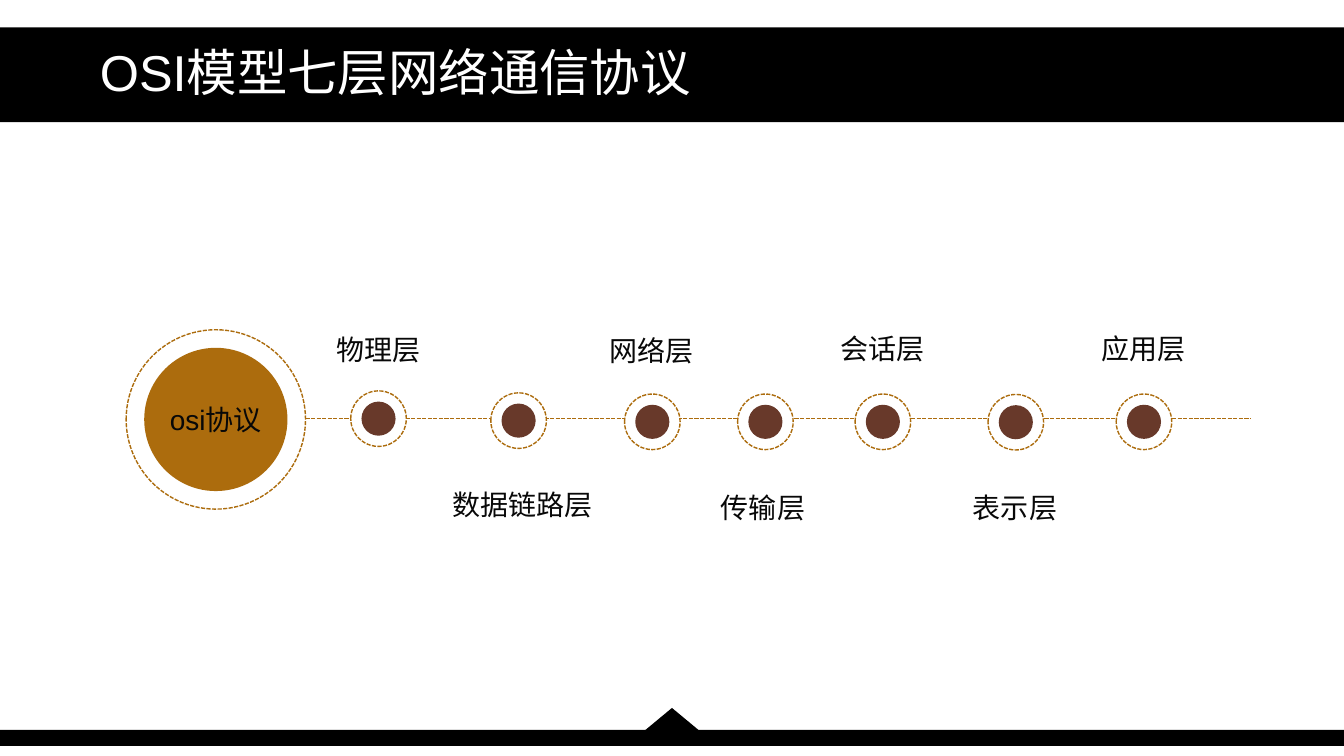
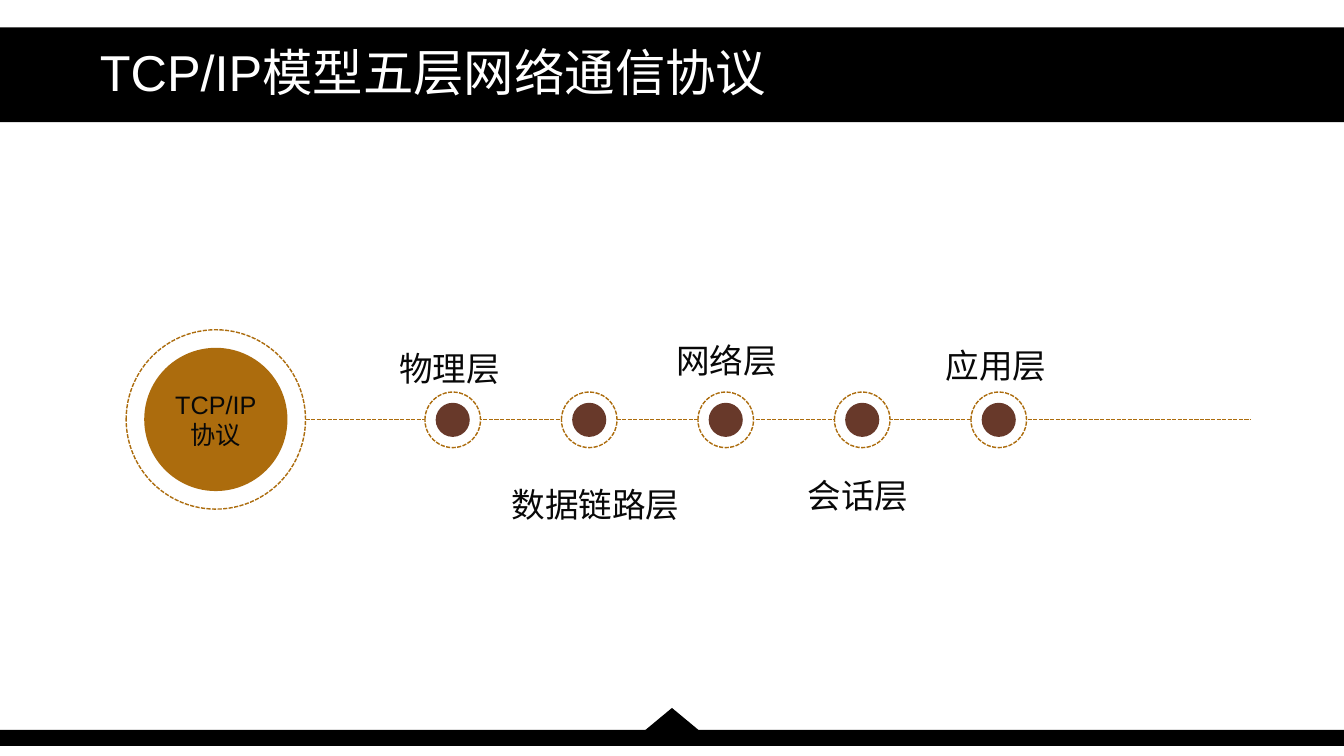
from dataclasses import dataclass
from typing import Optional

from lxml.etree import SubElement
from pptx import Presentation
from pptx.dml.color import RGBColor
from pptx.enum.dml import MSO_LINE
from pptx.enum.shapes import MSO_CONNECTOR, MSO_SHAPE
from pptx.enum.text import MSO_ANCHOR, PP_ALIGN
from pptx.oxml.ns import qn
from pptx.util import Cm, Pt

COLORS = {
    "band": "000000",
    "paper": "FFFFFF",
    "ochre": "AC6C0D",
    "brown": "68392A",
    "text": "080808",
}
LATIN_FONT = "Arial"
CHINESE_FONT = "Noto Sans CJK SC"
SLIDE_WIDTH, SLIDE_HEIGHT = 33.87, 19.05
HUB_X, HUB_Y = 5.44, 10.57
HUB_RING, HUB_CORE = 4.52, 3.61
DOT_RING, DOT_CORE = 1.4, 0.86
LABEL_WIDTH, LABEL_HEIGHT = 5.13, 3.05
AXIS_LEFT, AXIS_RIGHT = 7.7, 31.53


@dataclass(frozen=True)
class Layer:
    name: str
    dot_x: float
    dot_y: float
    label_x: float
    label_y: float


@dataclass(frozen=True)
class Model:
    title: str
    hub_text: str
    hub_size: int
    label_size: int
    axis_y: float
    layers: tuple[Layer, ...]


OSI = Model(
    "OSI模型七层网络通信协议", "osi协议", 20, 20, 10.54,
    (
        Layer("物理层", 9.54, 10.55, 9.53, 8.72),
        Layer("数据链路层", 13.07, 10.6, 13.18, 12.62),
        Layer("网络层", 16.44, 10.63, 16.41, 8.75),
        Layer("传输层", 19.29, 10.63, 19.23, 12.7),
        Layer("会话层", 22.25, 10.63, 22.23, 8.69),
        Layer("表示层", 25.6, 10.64, 25.58, 12.7),
        Layer("应用层", 28.83, 10.63, 28.83, 8.69),
    ),
)

TCP_LABELS = (
    ("物理层", 11.33, 9.17),
    ("数据链路层", 15.01, 12.6),
    ("网络层", 18.31, 8.97),
    ("会话层", 21.62, 12.37),
    ("应用层", 25.1, 9.09),
)
TCP_FIRST_DOT, TCP_DOT_STEP = 11.41, 3.44
TCP_IP = Model(
    "TCP/IP模型五层网络通信协议", "TCP/IP\n协议", 18, 24, 10.57,
    tuple(
        Layer(name, TCP_FIRST_DOT + index * TCP_DOT_STEP, 10.58, x, y)
        for index, (name, x, y) in enumerate(TCP_LABELS)
    ),
)


def color(name: str) -> RGBColor:
    return RGBColor.from_string(COLORS[name])


def style_line(line, name: str) -> None:
    line.color.rgb = color(name)
    line.width = Pt(1)
    line.dash_style = MSO_LINE.SQUARE_DOT


def add_filled(page, kind, left: float, top: float, width: float,
               height: float, fill: str, outline: Optional[str] = None):
    shape = page.shapes.add_shape(kind, Cm(left), Cm(top), Cm(width), Cm(height))
    shape.shadow.inherit = False
    shape.fill.solid()
    shape.fill.fore_color.rgb = color(fill)
    if outline:
        style_line(shape.line, outline)
    else:
        shape.line.fill.background()
    return shape


def add_circle(page, x: float, y: float, diameter: float, fill: str,
               outline: Optional[str] = None):
    return add_filled(page, MSO_SHAPE.OVAL, x - diameter / 2, y - diameter / 2,
                      diameter, diameter, fill, outline)


def write_text(box, text: str, size: int, ink: str, font: str,
               align: PP_ALIGN, spacing: float) -> None:
    frame = box.text_frame
    frame.text = text
    frame.word_wrap = True
    frame.vertical_anchor = MSO_ANCHOR.MIDDLE
    for para in frame.paragraphs:
        para.alignment = align
        para.line_spacing = spacing
        for span in para.runs:
            span.font.size = Pt(size)
            span.font.name = font
            span.font.color.rgb = color(ink)
            east_asian = SubElement(span.font._element, qn("a:ea"))
            east_asian.set("typeface", CHINESE_FONT)


def add_text(page, left: float, top: float, width: float, height: float,
             text: str, size: int, ink: str, font: str,
             align: PP_ALIGN, spacing: float):
    box = page.shapes.add_textbox(Cm(left), Cm(top), Cm(width), Cm(height))
    write_text(box, text, size, ink, font, align, spacing)
    return box


def move_bands_to_layout(page) -> None:
    bands = (
        (MSO_SHAPE.RECTANGLE, 0, 0.69, SLIDE_WIDTH, 2.39),
        (MSO_SHAPE.RECTANGLE, 0, 18.39, SLIDE_WIDTH, 0.41),
        (MSO_SHAPE.ISOSCELES_TRIANGLE, 16.26, 17.84, 1.35, 0.56),
    )
    for kind, *place in bands:
        band = add_filled(page, kind, *place, "band")
        page.slide_layout.shapes.element.append(band.element)


def add_title(page, title: str) -> None:
    box = add_text(page, 2.34, 0.69, 29.21, 2.39, title, 36, "paper",
                   LATIN_FONT, PP_ALIGN.LEFT, 0.9)
    frame = box.text_frame
    frame.margin_left = frame.margin_right = Cm(0.18)
    frame.margin_top = frame.margin_bottom = Cm(0.1)


def add_hub(page, model: Model) -> None:
    add_circle(page, HUB_X, HUB_Y, HUB_RING, "paper", "ochre")
    core = add_circle(page, HUB_X, HUB_Y, HUB_CORE, "ochre")
    write_text(core, model.hub_text, model.hub_size, "text", LATIN_FONT,
               PP_ALIGN.CENTER, 1.0)
    frame = core.text_frame
    frame.margin_left = frame.margin_right = 0
    frame.margin_top = frame.margin_bottom = 0


def add_axis(page, y: float) -> None:
    axis = page.shapes.add_connector(MSO_CONNECTOR.STRAIGHT, Cm(AXIS_LEFT),
                                     Cm(y), Cm(AXIS_RIGHT), Cm(y))
    style_line(axis.line, "ochre")
    SubElement(axis.element.spPr, qn("a:effectLst"))


def add_layer(page, layer: Layer, size: int) -> None:
    add_text(page, layer.label_x - LABEL_WIDTH / 2,
             layer.label_y - LABEL_HEIGHT / 2, LABEL_WIDTH, LABEL_HEIGHT,
             layer.name, size, "text", CHINESE_FONT, PP_ALIGN.CENTER, 1.2)
    add_circle(page, layer.dot_x, layer.dot_y, DOT_RING, "paper", "ochre")
    add_circle(page, layer.dot_x, layer.dot_y, DOT_CORE, "brown")


def add_model(page, model: Model) -> None:
    add_title(page, model.title)
    add_hub(page, model)
    add_axis(page, model.axis_y)
    for layer in model.layers:
        add_layer(page, layer, model.label_size)


def main() -> None:
    deck = Presentation()
    deck.slide_width = Cm(SLIDE_WIDTH)
    deck.slide_height = Cm(SLIDE_HEIGHT)
    blank = deck.slide_layouts[6]
    pages = [deck.slides.add_slide(blank) for _ in range(2)]
    move_bands_to_layout(pages[0])
    for page, model in zip(pages, (OSI, TCP_IP)):
        add_model(page, model)
    deck.save("out.pptx")


if __name__ == "__main__":
    main()
